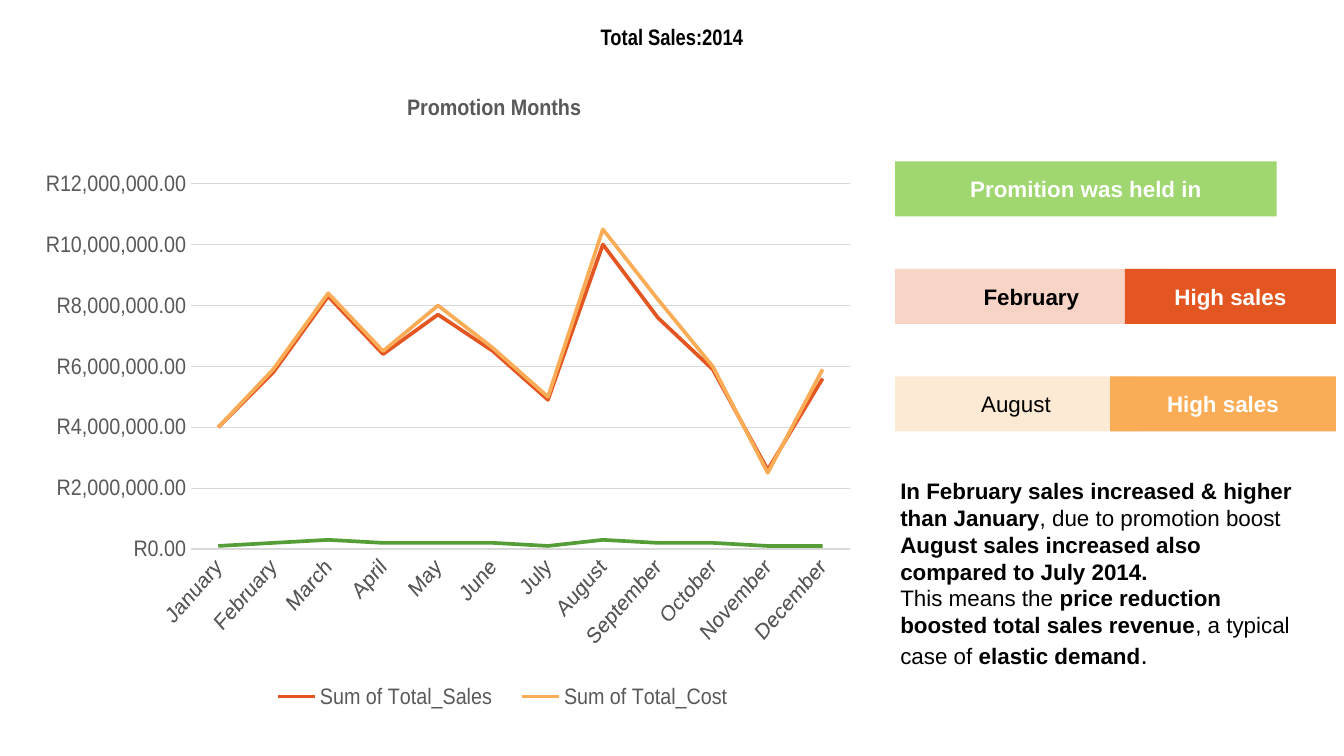
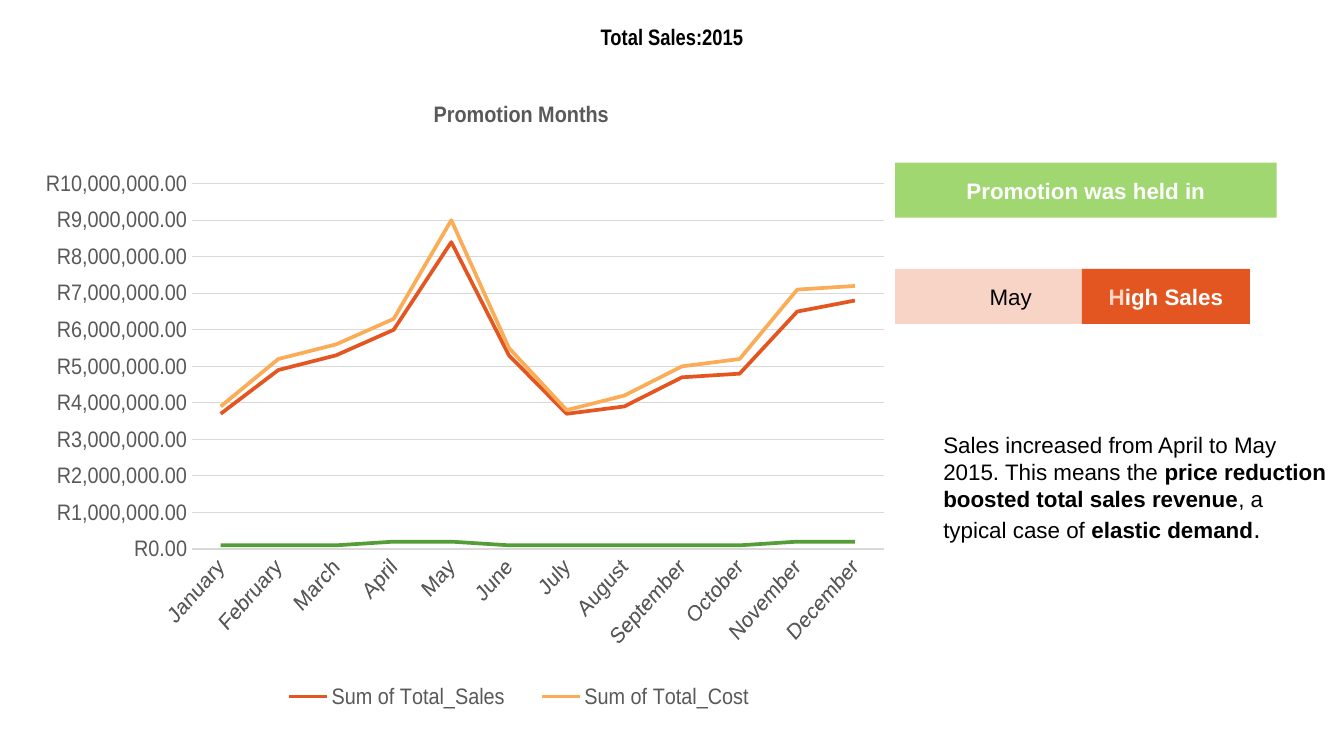
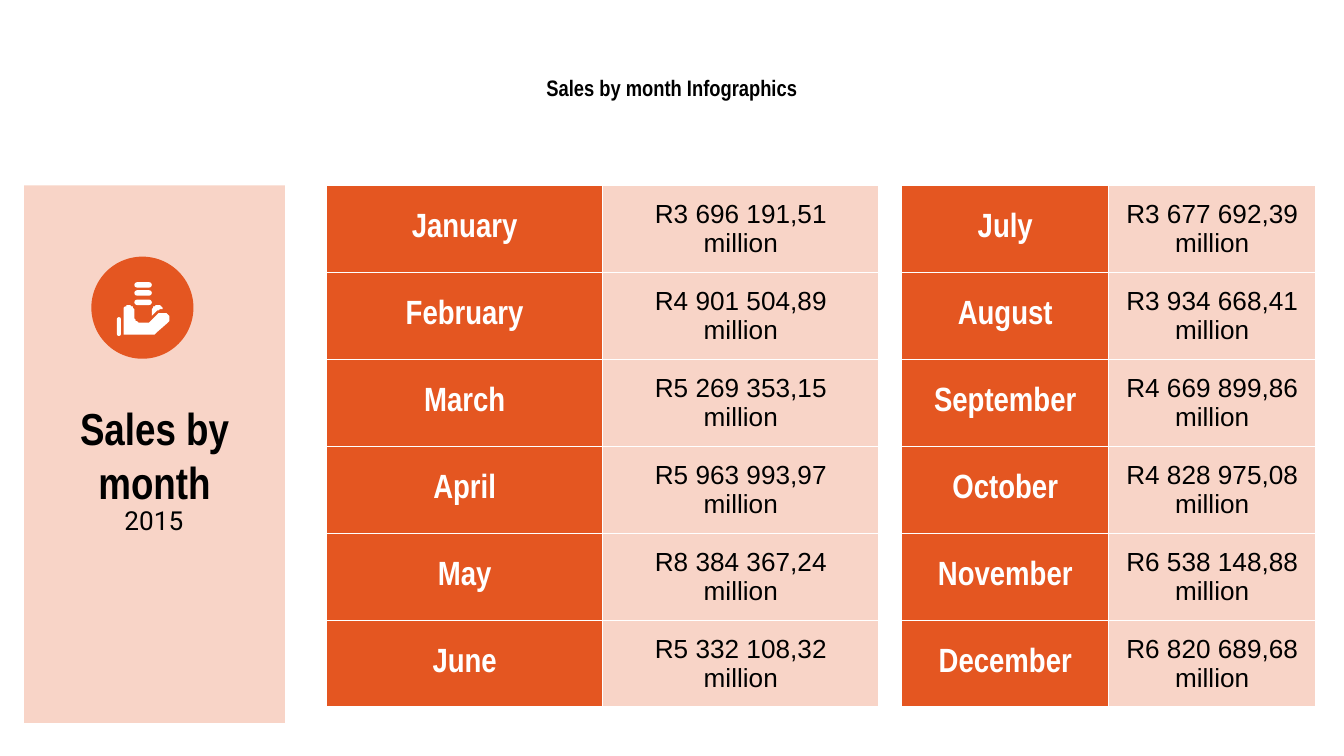
from lxml import etree
from pptx import Presentation
from pptx import util as u
from pptx.chart.data import CategoryChartData
from pptx.dml.color import RGBColor
from pptx.enum import chart as ch, shapes, text
from pptx.oxml import parse_xml
from pptx.oxml.ns import nsdecls, qn

PX = 9144  # 100 px to the inch
ORANGE, AMBER, GREEN, LIME = "E45621", "FAAD56", "559E37", "A0D771"
BLACK, WHITE, GREY, RULE = "000000", "FFFFFF", "595959", "D9D9D9"
NARROW = "Arial Narrow"
RECT = shapes.MSO_SHAPE.RECTANGLE
OVAL = shapes.MSO_SHAPE.OVAL
PILL = shapes.MSO_SHAPE.ROUNDED_RECTANGLE
MONTHS = ["January", "February", "March", "April", "May", "June", "July",
          "August", "September", "October", "November", "December"]
SALES = ["R3 696 191,51", "R4 901 504,89", "R5 269 353,15", "R5 963 993,97",
         "R8 384 367,24", "R5 332 108,32", "R3 677 692,39", "R3 934 668,41",
         "R4 669 899,86", "R4 828 975,08", "R6 538 148,88", "R6 820 689,68"]

# Chart values in hundreds of thousands of rand
Y2014 = [[40, 58, 83, 64, 77, 65, 49, 100, 76, 59, 26, 56],
         [40, 59, 84, 65, 80, 66, 50, 105, 82, 60, 25, 59],
         [1, 2, 3, 2, 2, 2, 1, 3, 2, 2, 1, 1]]
Y2015 = [[37, 49, 53, 60, 84, 53, 37, 39, 47, 48, 65, 68],
         [39, 52, 56, 63, 90, 55, 38, 42, 50, 52, 71, 72],
         [1, 1, 1, 2, 2, 1, 1, 1, 1, 1, 2, 2]]

ELASTIC = [("price reduction boosted total sales revenue", True),
           (", a typical case of ", False), ("elastic demand", True),
           (".", False, 14)]
NOTE14 = [
    [("In February sales increased & higher than January", True),
     (", due to promotion boost", False)],
    [("August sales increased also compared to July 2014.", True)],
    [("This means the ", False)] + ELASTIC]
NOTE15 = [[("Sales increased from April to May 2015. This means the ", False)]
          + ELASTIC]

# Outlines: two numbers draw a line, six draw a curve
THUMB = [(117, 227), (115, 227, 113, 229, 113, 231), (113, 235), (116, 232),
         (117, 231, 119, 230, 121, 230), (121, 228, 119, 227, 117, 227)]
PALM = [(95, 227), (94, 227, 93, 228, 93, 228), (92, 229, 92, 230, 92, 231),
        (92, 248), (92, 249, 92, 249, 93, 249), (111, 249),
        (113, 249, 115, 249, 117, 247), (125, 240),
        (126, 239, 126, 238, 126, 237), (126, 236, 126, 235, 125, 234),
        (124, 233, 123, 233, 121, 233), (120, 233, 118, 233, 117, 234),
        (111, 240), (104, 240), (102, 240, 100, 238, 100, 236), (100, 232),
        (100, 229, 98, 227, 95, 227)]


def rgb(code):
    return RGBColor.from_string(code)


def emu(*box):
    return [u.Emu(n * PX) for n in box]


def paint(fill, node, hue, alpha=100):
    """Fill with a colour; node is the XML element that holds the fill."""
    fill.solid()
    fill.fore_color.rgb = rgb(hue)
    if alpha < 100:
        tone = node.find(qn("a:solidFill")).find(qn("a:srgbClr"))
        etree.SubElement(tone, qn("a:alpha")).set("val", str(alpha * 1000))


def style(font, size, hue, name="Arial", bold=None):
    font.size, font.name, font.bold = u.Pt(size), name, bold
    font.color.rgb = rgb(hue)


def write(frame, paras, size, hue=BLACK, name="Arial", bold=False,
          align=text.PP_ALIGN.CENTER):
    """Each paragraph is a string or a list of (words, bold[, size]) runs."""
    frame.word_wrap = True
    for i, para in enumerate(paras):
        line = frame.add_paragraph() if i else frame.paragraphs[0]
        line.alignment = align
        if isinstance(para, str):
            style(line.font, size, hue, name, bold)
            line.add_run().text = para
            continue
        style(line.font, size, hue, name)
        for words, heavy, *big in para:
            run = line.add_run()
            run.text, run.font.bold = words, heavy
            if big:
                run.font.size = u.Pt(big[0])


def center(frame, pad=10):
    frame.vertical_anchor = text.MSO_ANCHOR.MIDDLE
    frame.margin_left = frame.margin_right = u.Emu(10 * PX)
    frame.margin_top = frame.margin_bottom = u.Emu(pad * PX)


def finish(shape, hue, alpha=100):
    shape.shadow.inherit = False
    paint(shape.fill, shape.element.spPr, hue, alpha)
    shape.line.fill.background()
    return shape


def block(slide, kind, box, hue, alpha=100):
    return finish(slide.shapes.add_shape(kind, *emu(*box)), hue, alpha)


def bar(slide, box, words, hue, ink=WHITE, bold=True, alpha=100, size=12,
        name="Arial"):
    frame = block(slide, RECT, box, hue, alpha).text_frame
    center(frame)
    write(frame, [words], size, ink, name, bold)


def label(slide, box, words, size=12, name=NARROW, bold=True):
    frame = slide.shapes.add_textbox(*emu(*box)).text_frame
    center(frame)
    write(frame, [words], size, BLACK, name, bold)


def pair(slide, box, split, month, verdict, hue, bold=False):
    """Month in a pale bar of width split[0]; verdict from offset split[1]."""
    x, y, w, h = box
    wide, start = split
    bar(slide, (x + start, y, w - start, h), verdict, hue)
    bar(slide, (x, y, wide, h), month, hue, BLACK, bold, 25)


def note(slide, box, paras):
    frame = slide.shapes.add_textbox(*emu(*box)).text_frame
    frame.auto_size = text.MSO_AUTO_SIZE.SHAPE_TO_FIT_TEXT
    write(frame, paras, 12, align=text.PP_ALIGN.LEFT)


def place(node, index, inner=False, **spots):
    """Give a chart part a manual layout, as shares of the chart."""
    for old in node.findall(qn("c:layout")):
        node.remove(old)
    parts = '<c:layoutTarget val="inner"/>' if inner else ""
    parts += "".join(f'<c:{k}Mode val="edge"/>' for k in "xy")
    parts += "".join(f'<c:{k} val="{v}"/>' for k, v in spots.items())
    node.insert(index, parse_xml(
        f'<c:layout {nsdecls("c")}><c:manualLayout>{parts}'
        '</c:manualLayout></c:layout>'))


def plot(slide, box, rows, top, step, spot):
    data = CategoryChartData(number_format='"R"#,##0.00')
    data.categories = MONTHS
    for name, row in zip(("Sales", "Cost", "Quantity"), rows):
        data.add_series(f"Sum of Total_{name}", [n * 100000 for n in row])
    chart = slide.shapes.add_chart(
        ch.XL_CHART_TYPE.LINE, *emu(*box), data).chart
    style(chart.font, 10, BLACK)
    chart.plots[0].vary_by_categories = False
    for series, hue in zip(chart.plots[0].series, (ORANGE, AMBER, GREEN)):
        series.smooth = False
        series.format.line.width = u.Pt(2.25)
        series.format.line.color.rgb = rgb(hue)

    chart.has_title = True
    head = chart.chart_title.text_frame
    head.text = "Promotion Months"
    style(head.paragraphs[0].runs[0].font, 12, GREY, bold=True)

    months, money = chart.category_axis, chart.value_axis
    for axis in (months, money):
        axis.major_tick_mark = axis.minor_tick_mark = ch.XL_TICK_MARK.NONE
        style(axis.tick_labels.font, 12, GREY)
    money.minimum_scale, money.maximum_scale = 0, top
    money.major_unit = step
    money.tick_labels.number_format = '"R"#,##0.00'
    money.tick_labels.number_format_is_linked = False
    money.format.line.fill.background()
    for line in (months.format.line, money.major_gridlines.format.line):
        line.color.rgb, line.width = rgb(RULE), u.Pt(0.75)

    chart.has_legend = True
    chart.legend.position = ch.XL_LEGEND_POSITION.BOTTOM
    chart.legend.include_in_layout = False
    style(chart.legend.font, 12, GREY)

    root = chart.element.find(qn("c:chart"))
    area, key = root.find(qn("c:plotArea")), root.find(qn("c:legend"))
    tilt = area.find(qn("c:catAx")).find(qn("c:txPr")).find(qn("a:bodyPr"))
    tilt.set("rot", "-2700000")
    key.insert(1, parse_xml(
        f'<c:legendEntry {nsdecls("c")}><c:idx val="2"/>'
        '<c:delete val="1"/></c:legendEntry>'))
    place(key, 2, x=0.16, y=0.92, w=0.7, h=0.07)
    place(root.find(qn("c:title")), 1, x=spot[0], y=spot[1])
    place(area, 0, True, x=0.07, y=0.165, w=0.93, h=0.563)


def edge(cell, sides):
    """Draw thin white borders on the sides named by letters of LRTB."""
    props = cell._tc.get_or_add_tcPr()
    for i, side in enumerate(sides):
        props.insert(i, parse_xml(
            f'<a:ln{side} {nsdecls("a")} w="9525"><a:solidFill>'
            f'<a:srgbClr val="{WHITE}"/></a:solidFill></a:ln{side}>'))


def grid(slide, box, rows):
    table = slide.shapes.add_table(len(rows), 2, *emu(*box)).table
    table.first_row = table.horz_banding = False
    for row, (month, sum_) in zip(table.rows, rows):
        row.height = u.Emu(63 * PX)
        looks = ((month, 18, WHITE, NARROW, True, 100),
                 (f"{sum_} million", 14, BLACK, "Arial", False, 25))
        for cell, (words, size, ink, name, bold, alpha) in zip(row.cells,
                                                               looks):
            center(cell, 9)
            paint(cell.fill, cell._tc.get_or_add_tcPr(), ORANGE, alpha)
            write(cell.text_frame, [words], size, ink, name, bold)
            edge(cell, "LRTB")


def bend(start, curve, steps=8):
    """Points along a cubic curve."""
    a, b, c, d = start, curve[:2], curve[2:4], curve[4:]
    for i in range(1, steps + 1):
        t = i / steps
        s = 1 - t
        yield tuple(s**3 * a[k] + 3 * s * s * t * b[k]
                    + 3 * s * t * t * c[k] + t**3 * d[k] for k in (0, 1))


def outline(slide, marks, dx, dy):
    dots = [marks[0]]
    for mark in marks[1:]:
        dots += [mark] if len(mark) == 2 else bend(dots[-1], mark)
    dots = [(x + dx, y + dy) for x, y in dots]
    pen = slide.shapes.build_freeform(*dots[0], scale=PX)
    pen.add_line_segments(dots[1:], close=True)
    finish(pen.convert_to_shape(), WHITE)


def hand(slide, x, y):
    """Hand with coins in a disc."""
    block(slide, OVAL, (x, y, 76, 76), ORANGE)
    for marks in (THUMB, PALM):
        outline(slide, marks, x - 68, y - 191)
    pills = [(19, 45, 3, 14)] + [(32, 19 + 13 * i // 2, 13, 4)
                                 for i in range(3)]
    for left, top, w, h in pills:
        pill = block(slide, PILL, (x + left, y + top, w, h), WHITE)
        pill.adjustments[0] = 0.5


def panel(slide, box):
    x, y, w, h = box
    bar(slide, box, "Sales by month", ORANGE, BLACK, True, 25, 24, NARROW)
    label(slide, (x + 22, y + 233, 149, 32), "2015", 14, "Roboto", False)
    hand(slide, x + 50, y + 53)


def year(slide, name, wide, rows, top, step, spot):
    label(slide, (50, 16, 900, 23), f"Total Sales:{name}")
    plot(slide, (34, 57, wide, 483), rows, top, step, spot)


def main():
    deck = Presentation()
    deck.slide_width = u.Emu(1000 * PX)
    deck.slide_height = u.Emu(1000 * PX * 9 // 16)
    first, second, third = [deck.slides.add_slide(deck.slide_layouts[6])
                            for _ in range(3)]

    year(first, 2014, 599, Y2014, 12000000, 2000000, (0.37, 0.02))
    bar(first, (666, 120, 284, 41), "Promition was held in", LIME)
    pair(first, (666, 200, 328, 41), (203, 171), "February", "High sales",
         ORANGE, True)
    pair(first, (666, 280, 328, 41), (180, 160), "August", "High sales",
         AMBER)
    note(first, (660, 350, 325, 178), NOTE14)

    year(second, 2015, 624, Y2015, 10000000, 1000000, (0.39, 0.03))
    bar(second, (666, 121, 284, 41), "Promotion was held in", LIME)
    pair(second, (666, 200, 264, 41), (172, 139), "May", "High Sales",
         ORANGE)
    note(second, (692, 316, 308, 94), NOTE15)

    panel(third, (18, 138, 194, 400))
    label(third, (50, 45, 900, 41), "Sales by month Infographics")
    rows = list(zip(MONTHS, SALES))
    grid(third, (243, 138, 411, 378), rows[:6])
    grid(third, (671, 138, 308, 378), rows[6:])
    deck.save("out.pptx")


if __name__ == "__main__":
    main()
